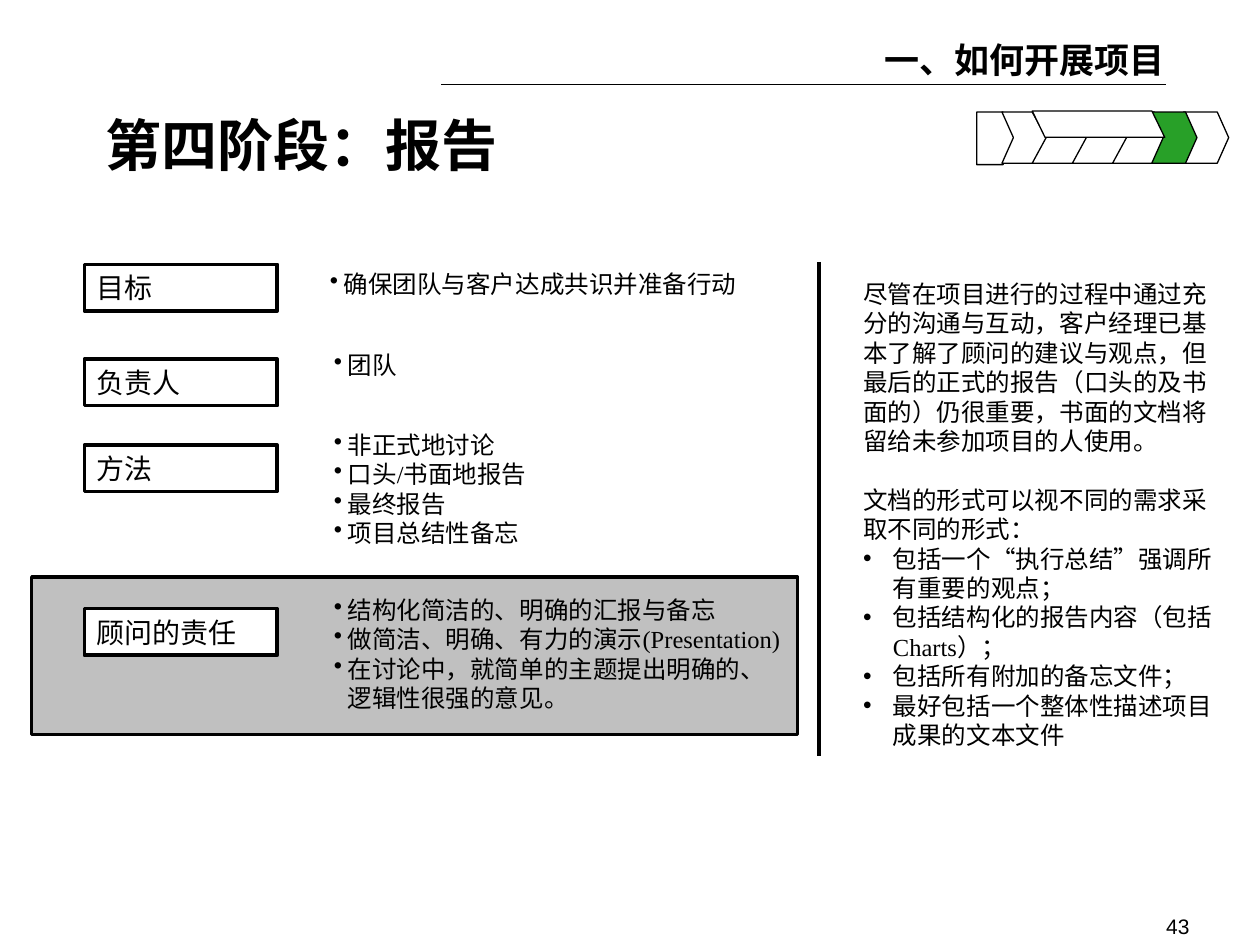
import lxml.etree
import pptx
import pptx.dml.color
import pptx.enum.shapes
import pptx.enum.text
import pptx.oxml.ns
import pptx.util

Cm = pptx.util.Cm
Pt = pptx.util.Pt
SHAPE = pptx.enum.shapes.MSO_SHAPE
ALIGN = pptx.enum.text.PP_ALIGN
ANCHOR = pptx.enum.text.MSO_ANCHOR

BLACK = pptx.dml.color.RGBColor(0x00, 0x00, 0x00)
WHITE = pptx.dml.color.RGBColor(0xFF, 0xFF, 0xFF)
GREY = pptx.dml.color.RGBColor(0xC0, 0xC0, 0xC0)
GREEN = pptx.dml.color.RGBColor(0x28, 0xA0, 0x28)

SERIF = "Times New Roman"
SANS = "Arial"

# Each row: label, label top, list box (left, top, width, height), list items
ROWS = [
    ("目标", 5.33, (6.4, 5.28, 8.71, 0.86), ["确保团队与客户达成共识并准备行动"]),
    ("负责人", 7.24, (6.48, 6.93, 1.78, 0.86), ["团队"]),
    ("方法", 8.97, (6.48, 8.53, 7.98, 2.64),
     ["非正式地讨论", "口头/书面地报告", "最终报告", "项目总结性备忘"]),
    ("顾问的责任", 12.27, (6.48, 11.56, 9.63, 3.23),
     ["结构化简洁的、明确的汇报与备忘",
      "做简洁、明确、有力的演示(Presentation)",
      "在讨论中，就简单的主题提出明确的、逻辑性很强的意见。"]),
]
COMMENTS = [
    "尽管在项目进行的过程中通过充分的沟通与互动，客户经理已基本了解了顾问的建议与观点，"
    "但最后的正式的报告（口头的及书面的）仍很重要，书面的文档将留给未参加项目的人使用。",
    "文档的形式可以视不同的需求采取不同的形式：",
]
DOCUMENT_FORMS = [
    "包括一个“执行总结”强调所有重要的观点；",
    "包括结构化的报告内容（包括Charts）；",
    "包括所有附加的备忘文件；",
    "最好包括一个整体性描述项目成果的文本文件",
]


def place(shape, box):
    shape.left, shape.top, shape.width, shape.height = map(Cm, box)


def set_bullet(para, hang):
    """Give the paragraph a round bullet and a hanging indent; no bullet if hang is 0."""
    props = para._p.get_or_add_pPr()
    props.set("marL", str(Cm(hang)))
    props.set("indent", str(-Cm(hang)))
    if hang:
        bullet = lxml.etree.SubElement(props, pptx.oxml.ns.qn("a:buChar"))
        bullet.set("char", "•")
    else:
        lxml.etree.SubElement(props, pptx.oxml.ns.qn("a:buNone"))


def write(frame, lines, size, font=SERIF, bold=False, hangs=None, align=ALIGN.LEFT,
          anchor=ANCHOR.MIDDLE, inset=True, wrap=True):
    """Fill a text frame, one paragraph per line; hangs gives each line's bullet indent."""
    frame.word_wrap = wrap
    frame.auto_size = pptx.enum.text.MSO_AUTO_SIZE.NONE
    frame.vertical_anchor = anchor
    frame.margin_left = frame.margin_right = Cm(0.25 if inset else 0)
    frame.margin_top = frame.margin_bottom = Cm(0.13 if inset else 0)
    for index, line in enumerate(lines):
        para = frame.paragraphs[0] if index == 0 else frame.add_paragraph()
        para.text = line
        if hangs:
            set_bullet(para, hangs[index])
        para.alignment = align
        para.space_before = Pt(0)
        para.font.name = font
        para.font.size = Pt(size)
        para.font.bold = bold
        para.font.color.rgb = BLACK


def paint(shape, fill, weight):
    shape.shadow.inherit = False
    shape.fill.solid()
    shape.fill.fore_color.rgb = fill
    shape.line.color.rgb = BLACK
    shape.line.width = Pt(weight)


def add_panel(page, box, fill):
    panel = page.shapes.add_shape(SHAPE.RECTANGLE, *map(Cm, box))
    paint(panel, fill, 2)
    return panel


def add_rule(page, x1, y1, x2, y2, weight):
    rule = page.shapes.add_connector(
        pptx.enum.shapes.MSO_CONNECTOR.STRAIGHT, *map(Cm, (x1, y1, x2, y2)))
    rule.line.color.rgb = BLACK
    rule.line.width = Pt(weight)
    lxml.etree.SubElement(rule._element.spPr, pptx.oxml.ns.qn("a:effectLst"))


def add_header(page, left, top, width):
    add_rule(page, left, top, left + width, top, 0.75)
    heading = page.shapes.add_textbox(*map(Cm, (left + 8.69, top - 1.06, 7.6, 1.12)))
    write(heading.text_frame, ["一、如何开展项目"], 20, bold=True, anchor=ANCHOR.TOP)


def add_title(page, box):
    title = page.shapes.title
    place(title, box)
    write(title.text_frame, ["第四阶段：报告"], 32, SANS, bold=True,
          anchor=ANCHOR.TOP, inset=False)
    title.text_frame.paragraphs[0].line_spacing = 0.9


def add_chevron(page, left, top, width, height, tip, notch, fill=WHITE):
    right, middle, bottom = left + width, top + height / 2, top + height
    points = [(right - tip, top), (right, middle), (right - tip, bottom), (left, bottom)]
    if notch:
        points.append((left + notch, middle))
    builder = page.shapes.build_freeform(Cm(left), Cm(top))
    builder.add_line_segments([(Cm(x), Cm(y)) for x, y in points], close=True)
    paint(builder.convert_to_shape(), fill, 0.75)


def add_phase_tracker(page, left, top):
    """Chain of project phases with the current one in green."""
    height = 1.03
    add_chevron(page, left, top, 0.76, 1.06, 0.23, 0)
    for offset in (0.51, 4.17):
        add_chevron(page, left + offset, top, 0.91, height, 0.23, 0.23)
    for step in range(3):
        add_chevron(page, left + 1.12 + step * 0.81, top, 1.12, height, 0.28, 0.28)
    add_chevron(page, left + 3.53, top, 0.91, height, 0.23, 0.23, GREEN)
    cover = page.shapes.add_shape(
        SHAPE.PARALLELOGRAM, *map(Cm, (left + 1.12, top - 0.02, 2.67, 0.53)))
    cover.adjustments[0] = 0.485
    cover._element.spPr.xfrm.set("flipV", "1")
    paint(cover, WHITE, 0.75)


def add_row(page, label, top, list_box, items):
    panel = add_panel(page, (1.7, top, 3.89, 0.94), WHITE)
    write(panel.text_frame, [label], 16)
    details = page.shapes.add_textbox(*map(Cm, list_box))
    write(details.text_frame, items, 14, hangs=[0.28] * len(items), wrap=len(items) > 1)


def add_commentary(page, box):
    body = page.placeholders[1]
    place(body, box)
    hangs = [0] * len(COMMENTS) + [0.6] * len(DOCUMENT_FORMS)
    write(body.text_frame, COMMENTS + DOCUMENT_FORMS, 14, hangs=hangs)
    body.text_frame.paragraphs[1].space_before = Pt(16.8)


def add_page_number(page, box):
    number = page.shapes.add_textbox(*map(Cm, box))
    write(number.text_frame, ["43"], 12, SANS, align=ALIGN.RIGHT,
          anchor=ANCHOR.TOP, inset=False)


def main():
    deck = pptx.Presentation()
    deck.slide_width, deck.slide_height = Cm(25.4), Cm(19.05)
    page = deck.slides.add_slide(deck.slide_layouts[1])
    add_header(page, 8.89, 1.7, 14.61)
    add_title(page, (2.13, 2.39, 21.44, 1.22))
    add_phase_tracker(page, 19.69, 2.26)
    add_panel(page, (0.64, 11.63, 15.44, 3.18), GREY)
    for row in ROWS:
        add_row(page, *row)
    add_rule(page, 16.51, 5.28, 16.51, 15.24, 2)
    add_commentary(page, (17.15, 5.49, 7.7, 9.75))
    add_page_number(page, (18.72, 18.42, 5.26, 0.51))
    deck.save("out.pptx")


if __name__ == "__main__":
    main()
